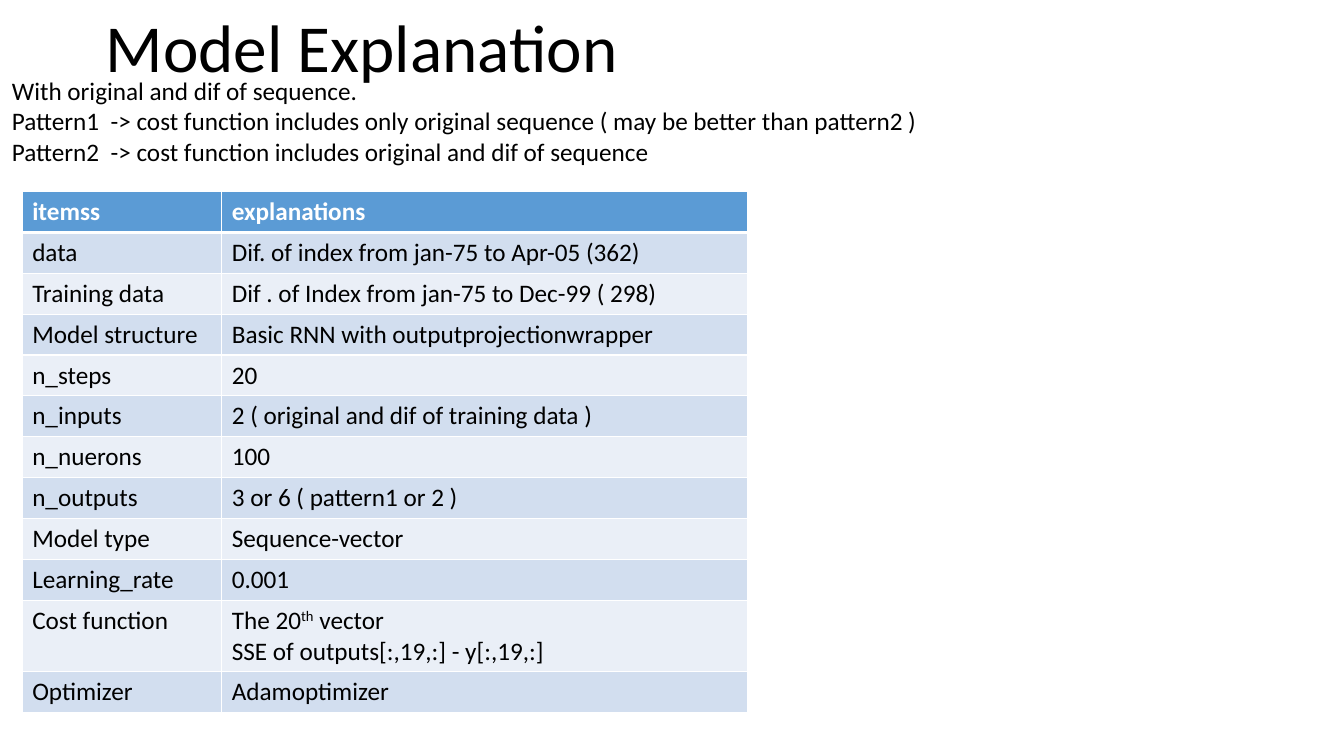
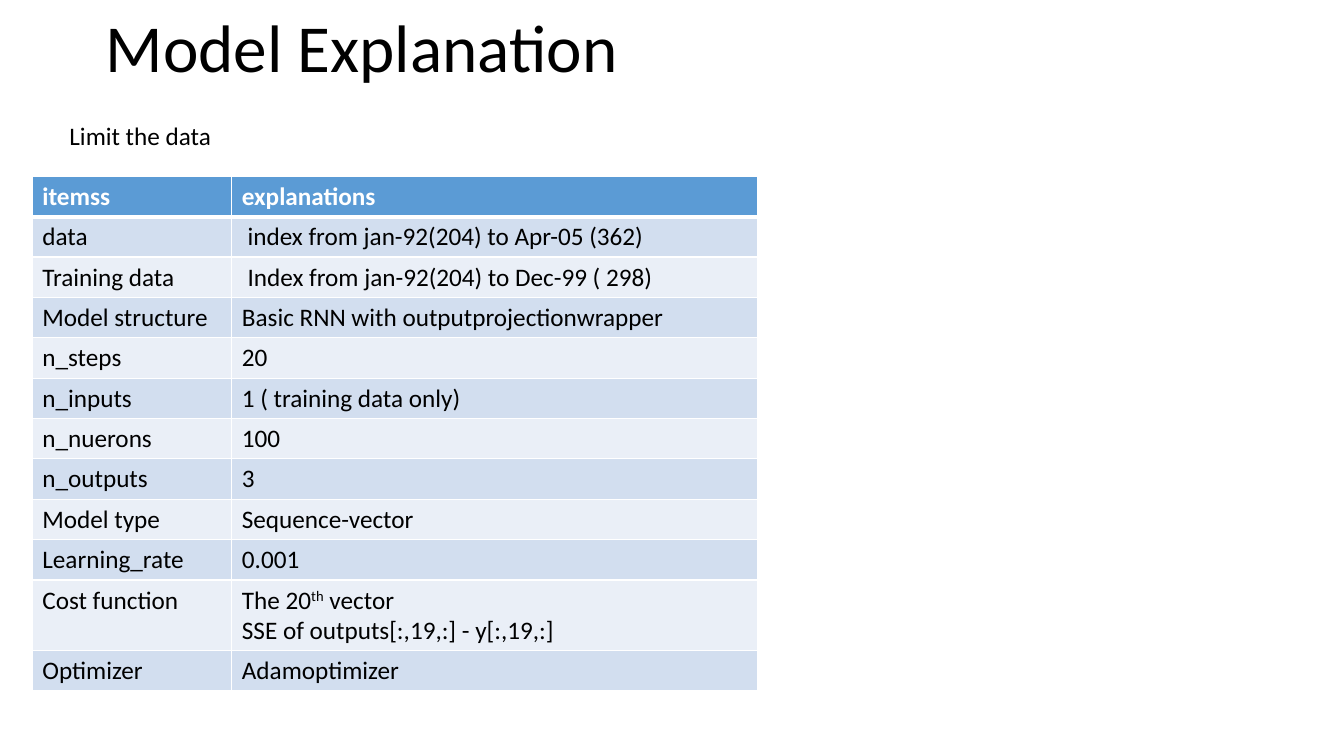
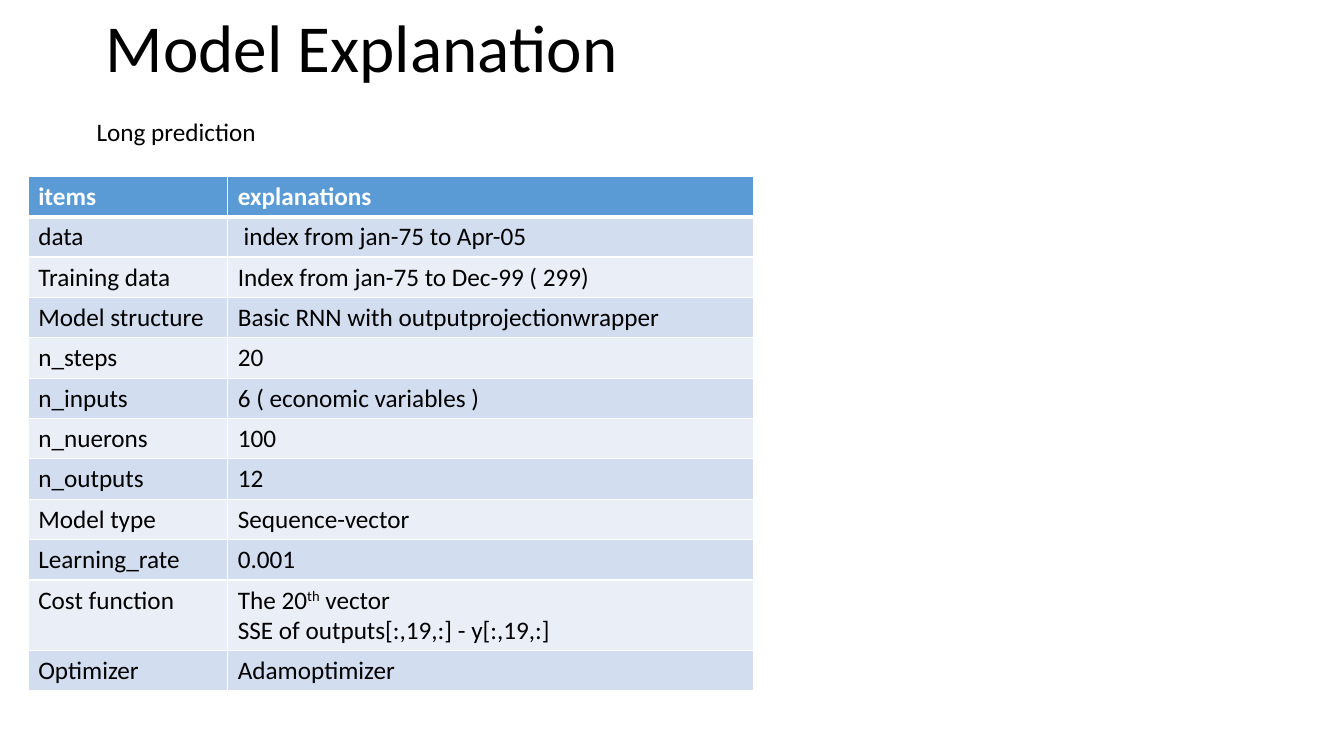
"""Build three slides that explain the settings of a sequence model."""
from pptx import Presentation
from pptx.dml.color import RGBColor
from pptx.enum.text import MSO_AUTO_SIZE
from pptx.oxml.ns import qn
from pptx.util import Inches, Pt
from lxml.etree import SubElement

BLACK = RGBColor(0x00, 0x00, 0x00)
WHITE = RGBColor(0xFF, 0xFF, 0xFF)
BLUE = RGBColor(0x5B, 0x9B, 0xD5)
BANDS = [RGBColor(0xEA, 0xEF, 0xF7), RGBColor(0xD2, 0xDE, 0xEF)]
FONT = "Calibri"

deck = Presentation()
deck.slide_width, deck.slide_height = Inches(13.33), Inches(7.5)
COL, ROW = deck.slide_width / 100, deck.slide_height / 100
WIDTHS = [14.85, 39.15]
LINE, TALL = 5.33, 9.33
TITLE = (7.13, 0, 40.05, 12.13)


def write(frame, text, size=18, ink=BLACK, bold=False):
    """Fill a text frame line by line, raising what stands between carets."""
    for i, line in enumerate(text.split("\n")):
        para = frame.add_paragraph() if i else frame.paragraphs[0]
        for j, part in enumerate(line.split("^")):
            run = para.add_run()
            run.text = part
            font = run.font
            font.name, font.size, font.bold = FONT, Pt(size), bold
            font.color.rgb = ink
            if j % 2:
                run._r.get_or_add_rPr().set("baseline", "30000")


def edge(cell, side, width):
    """Draw one white border of a table cell."""
    line = SubElement(cell._tc.get_or_add_tcPr(), qn("a:" + side), w=str(Pt(width)))
    fill = SubElement(line, qn("a:solidFill"))
    SubElement(fill, qn("a:srgbClr"), val=str(WHITE))


pages = [
    dict(
        note="With original and dif of sequence.\n"
        "Pattern1  -> cost function includes only original sequence ( may be better than pattern2 )\n"
        "Pattern2  -> cost function includes original and dif of sequence",
        box=(0.15, 9.33, 69.83, 13.47), spot=(1.65, 25.33), head="itemss",
        data="Dif. of index from jan-75 to Apr-05 (362)",
        train="Dif . of Index from jan-75 to Dec-99 ( 298)",
        inputs="2 ( original and dif of training data )",
        outputs="3 or 6 ( pattern1 or 2 )",
    ),
    dict(
        note="Limit the data",
        box=(4.43, 15.2, 12.6, LINE), spot=(2.4, 23.33), head="itemss",
        data=" index from jan-92(204) to Apr-05 (362)",
        train=" Index from jan-92(204) to Dec-99 ( 298)",
        inputs="1 ( training data only)",
        outputs="3",
    ),
    dict(
        note="Long prediction",
        box=(6.45, 14.67, 13.95, LINE), spot=(2.1, 23.33), head="items",
        data=" index from jan-75 to Apr-05",
        train="Index from jan-75 to Dec-99 ( 299)",
        inputs="6 ( economic variables )",
        outputs="12",
    ),
]

for page in pages:
    slide = deck.slides.add_slide(deck.slide_layouts[6])
    rows = [
        (page["head"], "explanations"),
        ("data", page["data"]),
        ("Training data", page["train"]),
        ("Model structure", "Basic RNN with outputprojectionwrapper"),
        ("n_steps", "20"),
        ("n_inputs", page["inputs"]),
        ("n_nuerons", "100"),
        ("n_outputs", page["outputs"]),
        ("Model type", "Sequence-vector"),
        ("Learning_rate", "0.001"),
        ("Cost function", "The 20^th^ vector\nSSE of outputs[:,19,:] - y[:,19,:]"),
        ("Optimizer", "Adamoptimizer"),
    ]
    tops = [TALL if "\n" in text else LINE for name, text in rows]
    left, top = page["spot"]
    grid = slide.shapes.add_table(
        len(rows), len(WIDTHS), int(left * COL), int(top * ROW),
        int(sum(WIDTHS) * COL), int(sum(tops) * ROW)).table
    for c, width in enumerate(WIDTHS):
        grid.columns[c].width = int(width * COL)
    for r, row in enumerate(rows):
        grid.rows[r].height = int(tops[r] * ROW)
        for c, text in enumerate(row):
            cell = grid.cell(r, c)
            edge(cell, "lnL", 1)
            edge(cell, "lnR", 1)
            edge(cell, "lnT", 3 if r == 1 else 1)
            edge(cell, "lnB", 3 if r == 0 else 1)
            cell.fill.solid()
            cell.fill.fore_color.rgb = BANDS[r % 2] if r else BLUE
            write(cell.text_frame, text, ink=BLACK if r else WHITE, bold=r == 0)

    for text, box, size in [("Model Explanation", TITLE, 48), (page["note"], page["box"], 18)]:
        x, y, w, h = box
        frame = slide.shapes.add_textbox(
            int(x * COL), int(y * ROW), int(w * COL), int(h * ROW)).text_frame
        frame.word_wrap = False
        frame.auto_size = MSO_AUTO_SIZE.SHAPE_TO_FIT_TEXT
        write(frame, text, size=size)

deck.save("out.pptx")
